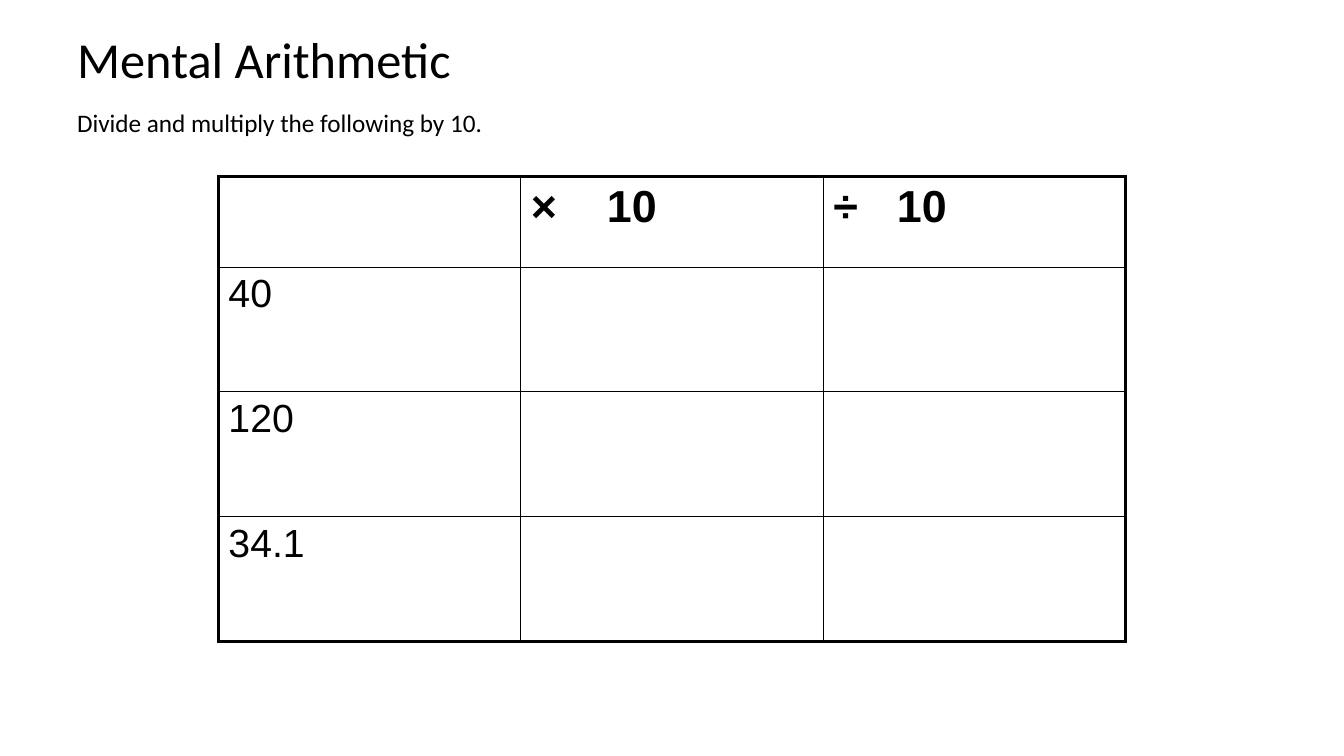
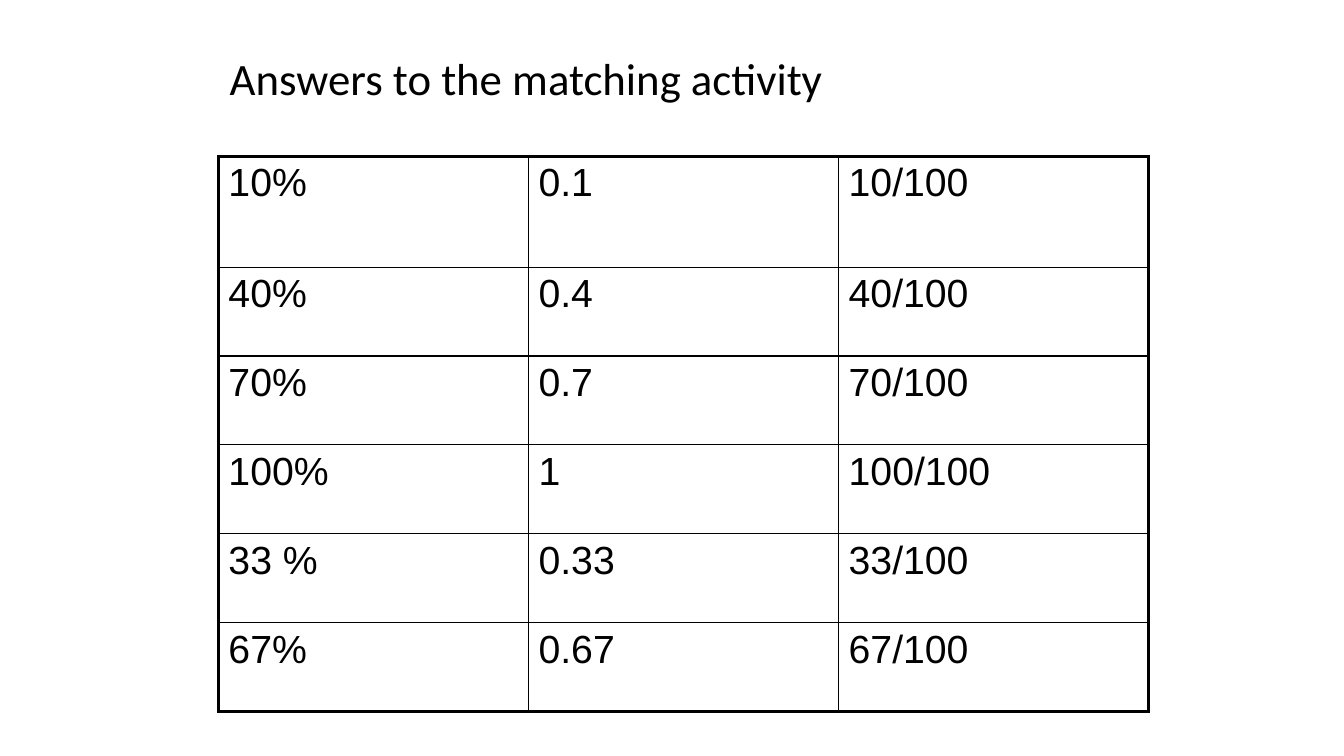
"""Build two arithmetic slides, each with a title and a ruled table."""

from dataclasses import dataclass

from lxml.etree import SubElement
from pptx import Presentation
from pptx.dml.color import RGBColor
from pptx.enum.text import MSO_ANCHOR
from pptx.oxml import parse_xml
from pptx.oxml.ns import nsdecls, qn
from pptx.slide import Slide
from pptx.table import _Cell
from pptx.text.text import _Paragraph
from pptx.util import Emu, Inches, Pt

GRID_COLUMNS, GRID_ROWS = 160, 90
SLIDE_WIDTH, SLIDE_HEIGHT = Inches(13.33), Inches(7.5)
INK = RGBColor(0x00, 0x00, 0x00)
TITLE_FONT, TABLE_FONT = "Calibri", "Arial"
INNER_RULE, OUTER_RULE = Pt(1), Pt(2.25)
HEADER_SIZE, BODY_SIZE = 32, 28


@dataclass(frozen=True)
class Area:
    """Hold a rectangle in grid units."""

    left: float
    top: float
    width: float
    height: float


@dataclass(frozen=True)
class TitleLine:
    """Hold one line of a title."""

    wording: str
    size: float
    space_before: float = 0


@dataclass(frozen=True)
class Title:
    """Hold a title block."""

    area: Area
    lines: tuple[TitleLine, ...]
    anchor: MSO_ANCHOR = MSO_ANCHOR.MIDDLE


@dataclass(frozen=True)
class Grid:
    """Hold a table whose first row differs in height from the others."""

    left: float
    top: float
    column_width: float
    first_height: float
    row_height: float
    rows: tuple[tuple[str, ...], ...]
    has_header: bool = False
    tab_stops: tuple[float, ...] = (0, 0, 0)

    @property
    def area(self) -> Area:
        """Return the rectangle that the rows and columns fill."""
        height = self.first_height + self.row_height * (len(self.rows) - 1)
        return Area(self.left, self.top, self.column_width * len(self.rows[0]), height)


@dataclass(frozen=True)
class Page:
    """Hold the content of one slide."""

    title: Title
    grid: Grid


PAGES = (
    Page(
        Title(
            Area(8, 3.6, 144, 15),
            (
                TitleLine("Mental Arithmetic", 36),
                TitleLine("Divide and multiply the following by 10.", 18, 15),
            ),
            MSO_ANCHOR.TOP,
        ),
        Grid(
            26, 21, 36, 10.8, 14.85,
            (("", "×\t10", "÷\t10"), ("40", "", ""), ("120", "", ""), ("34.1", "", "")),
            has_header=True,
            tab_stops=(0, 9.05, 7.57),
        ),
    ),
    Page(
        Title(
            Area(26.16, 3.6, 107.88, 12.12),
            (TitleLine("Answers to the matching activity", 32),),
        ),
        Grid(
            26, 18.6, 36.92, 13.2, 10.58,
            (
                ("10%", "0.1", "10/100"),
                ("40%", "0.4", "40/100"),
                ("70%", "0.7", "70/100"),
                ("100%", "1", "100/100"),
                ("33 %", "0.33", "33/100"),
                ("67%", "0.67", "67/100"),
            ),
        ),
    ),
)


def across(columns: float) -> Emu:
    """Convert grid columns to a length."""
    return Emu(round(SLIDE_WIDTH * columns / GRID_COLUMNS))


def down(rows: float) -> Emu:
    """Convert grid rows to a length."""
    return Emu(round(SLIDE_HEIGHT * rows / GRID_ROWS))


def place(area: Area) -> tuple[Emu, Emu, Emu, Emu]:
    """Convert a grid rectangle to lengths."""
    return across(area.left), down(area.top), across(area.width), down(area.height)


def write(paragraph: _Paragraph, wording: str, font: str, size: float, bold: bool = False) -> None:
    """Add one styled run to a paragraph."""
    run = paragraph.add_run()
    run.text = wording
    run.font.name = font
    run.font.size = Pt(size)
    run.font.bold = bold
    run.font.color.rgb = INK


def draw_title(slide: Slide, title: Title) -> None:
    """Draw the lines of a title in one box."""
    frame = slide.shapes.add_textbox(*place(title.area)).text_frame
    frame.word_wrap = True
    frame.vertical_anchor = title.anchor
    for index, line in enumerate(title.lines):
        paragraph = frame.add_paragraph() if index else frame.paragraphs[0]
        paragraph.line_spacing = 0.9
        paragraph.space_before = Pt(line.space_before)
        write(paragraph, line.wording, TITLE_FONT, line.size)


def rule_cell(cell: _Cell, outer_sides: dict[str, bool]) -> None:
    """Rule the four sides of a cell, heavier on the table's edge."""
    properties = cell._tc.get_or_add_tcPr()
    for index, (side, is_outer) in enumerate(outer_sides.items()):
        weight = OUTER_RULE if is_outer else INNER_RULE
        properties.insert(index, parse_xml(
            f'<a:ln{side} {nsdecls("a")} w="{weight}"><a:solidFill>'
            f'<a:srgbClr val="{INK}"/></a:solidFill></a:ln{side}>'
        ))


def set_tab(paragraph: _Paragraph, position: Emu) -> None:
    """Give a paragraph one left tab stop."""
    stops = SubElement(paragraph._p.get_or_add_pPr(), qn("a:tabLst"))
    SubElement(stops, qn("a:tab"), pos=str(position), algn="l")


def draw_grid(slide: Slide, grid: Grid) -> None:
    """Draw a ruled table."""
    row_count, column_count = len(grid.rows), len(grid.rows[0])
    table = slide.shapes.add_table(row_count, column_count, *place(grid.area)).table
    table.first_row = table.horz_banding = False
    for column in table.columns:
        column.width = across(grid.column_width)
    for row_index, wordings in enumerate(grid.rows):
        is_first = row_index == 0
        is_header = is_first and grid.has_header
        table.rows[row_index].height = down(grid.first_height if is_first else grid.row_height)
        for column_index, wording in enumerate(wordings):
            cell = table.cell(row_index, column_index)
            cell.fill.background()
            rule_cell(cell, {
                "L": column_index == 0,
                "R": column_index == column_count - 1,
                "T": is_first,
                "B": row_index == row_count - 1,
            })
            if not wording:
                continue
            paragraph = cell.text_frame.paragraphs[0]
            if is_header:
                set_tab(paragraph, across(grid.tab_stops[column_index]))
            write(paragraph, wording, TABLE_FONT, HEADER_SIZE if is_header else BODY_SIZE, is_header)


def main() -> None:
    """Build and save the presentation."""
    presentation = Presentation()
    presentation.slide_width, presentation.slide_height = SLIDE_WIDTH, SLIDE_HEIGHT
    blank_layout = presentation.slide_layouts[6]
    for page in PAGES:
        slide = presentation.slides.add_slide(blank_layout)
        draw_title(slide, page.title)
        draw_grid(slide, page.grid)
    presentation.save("out.pptx")


if __name__ == "__main__":
    main()
